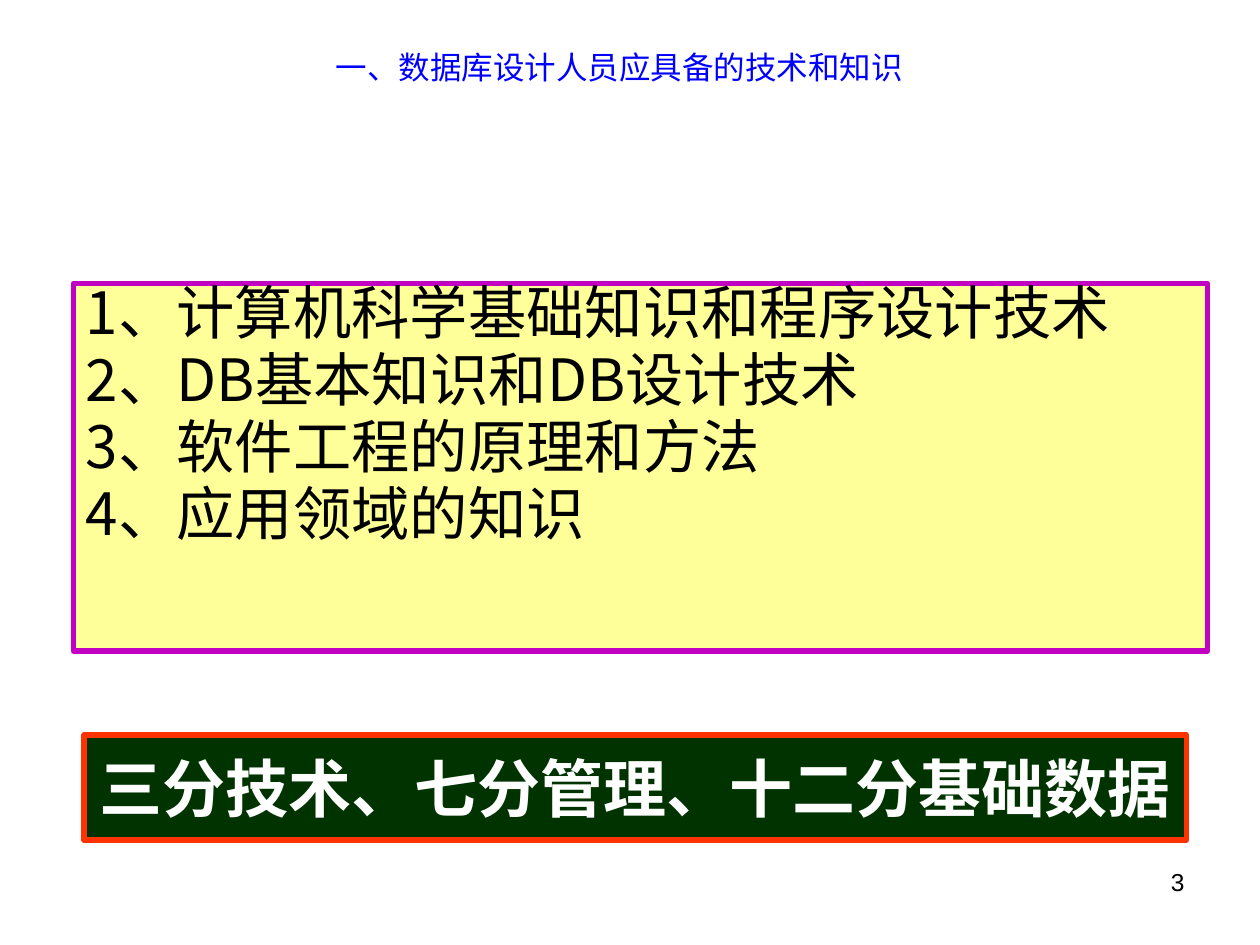
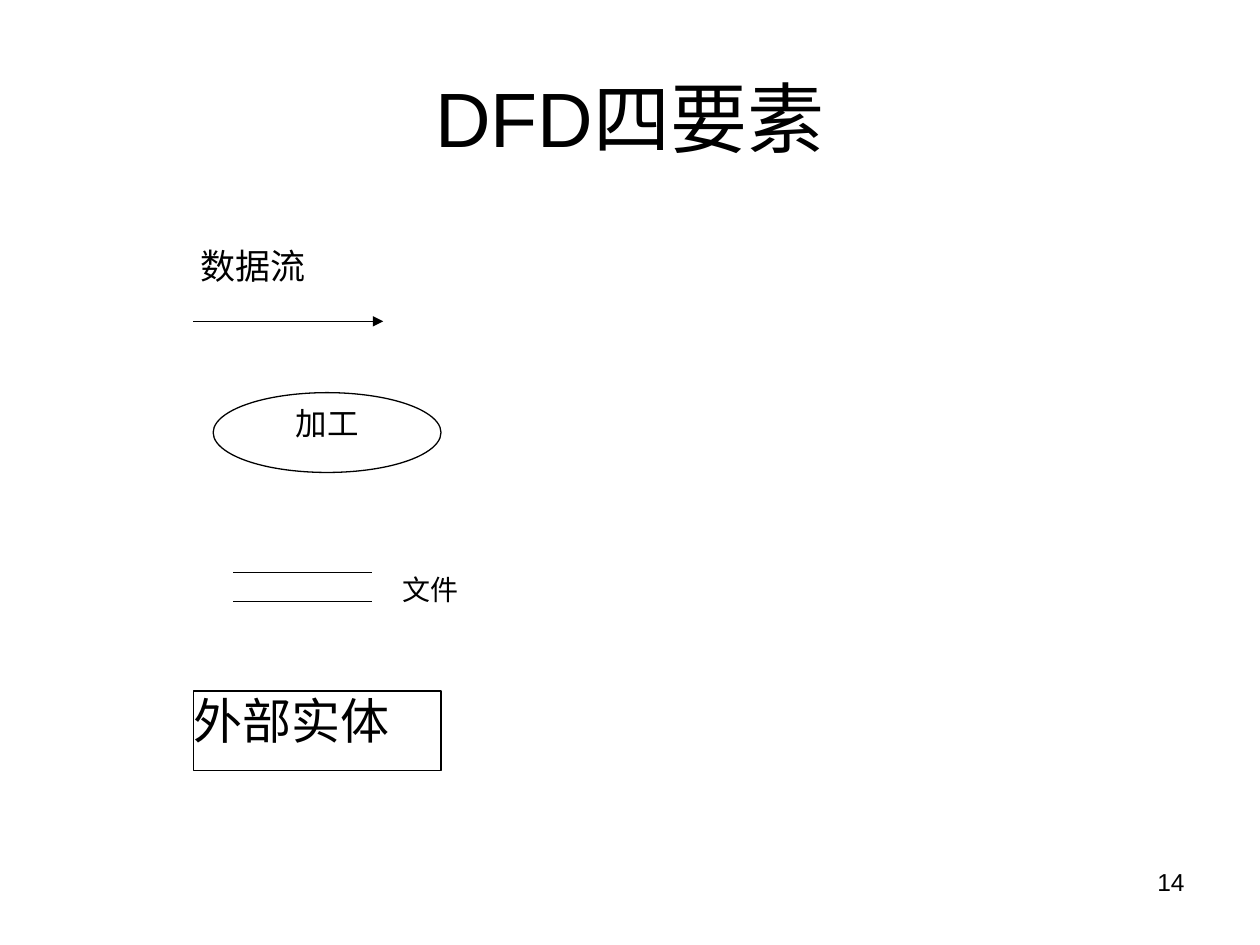
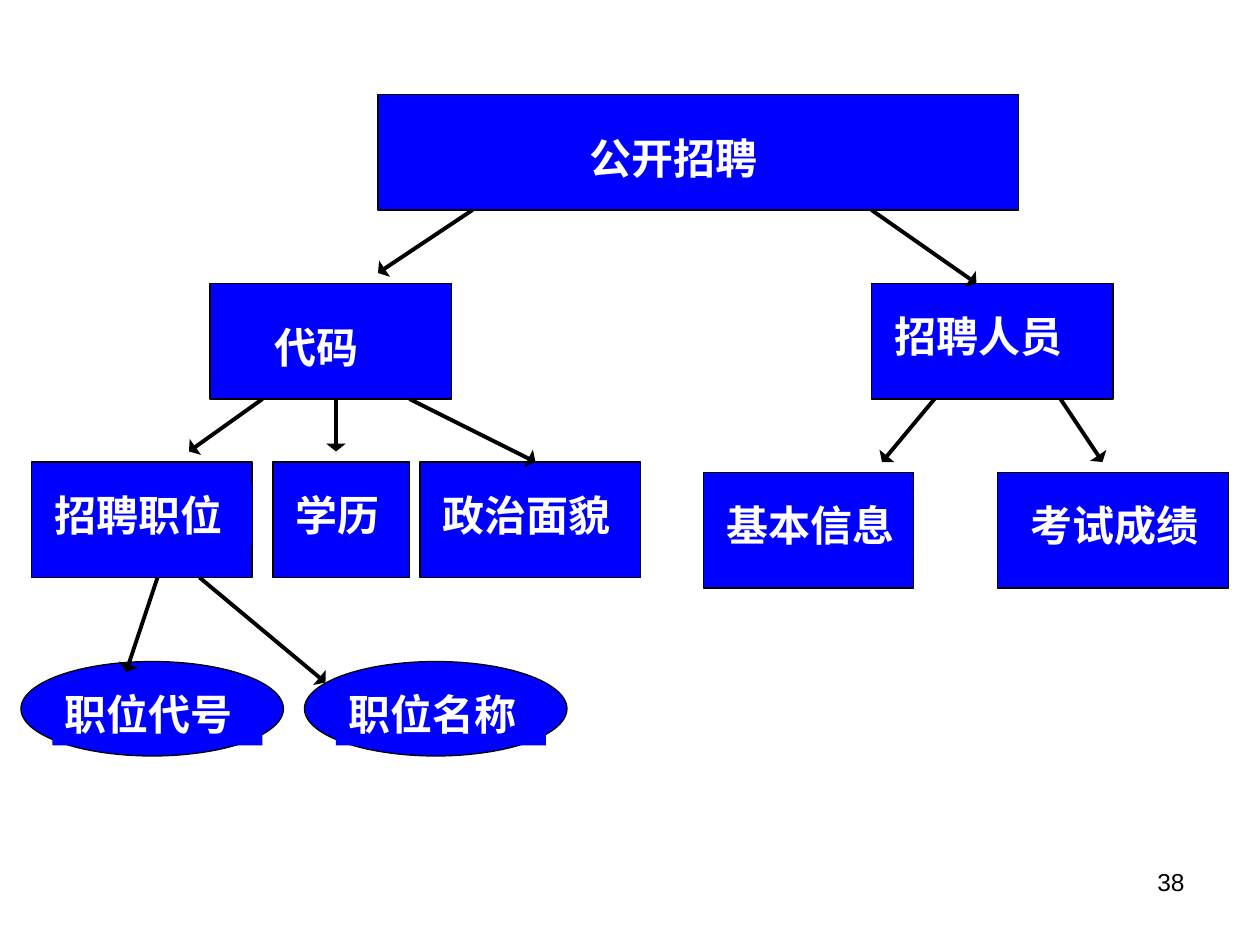
from pptx import Presentation
from pptx.dml.color import RGBColor
from pptx.enum.shapes import MSO_CONNECTOR, MSO_SHAPE
from pptx.enum.text import MSO_ANCHOR, MSO_AUTO_SIZE, PP_ALIGN
from pptx.oxml.ns import qn
from pptx.util import Emu, Pt
from lxml import etree

PX = 7620
RECT, OVAL = MSO_SHAPE.RECTANGLE, MSO_SHAPE.OVAL
STRAIGHT = MSO_CONNECTOR.STRAIGHT
TOP, MIDDLE = MSO_ANCHOR.TOP, MSO_ANCHOR.MIDDLE
LEFT, CENTER, RIGHT = PP_ALIGN.LEFT, PP_ALIGN.CENTER, PP_ALIGN.RIGHT
NO_RESIZE = MSO_AUTO_SIZE.NONE
TITLE_ONLY, BLANK = 5, 6

BLACK, WHITE, BLUE = "000000", "FFFFFF", "0000FF"
CREAM, PURPLE, GREEN, ORANGE = "FFFF99", "C200C2", "003300", "FF3300"
ARIAL, SERIF = "Arial", "Times New Roman"
HAN_SC, HAN_JP = "Noto Sans CJK SC", "Noto Sans CJK JP"
PADDED, TIGHT = (12, 6), (0, 0)


def px(*lengths):
    return [Emu(length * PX) for length in lengths]


def color(value):
    return RGBColor.from_string(value)


def write(shape, lines, size, font=SERIF, ink=BLACK, bold=False, align=LEFT,
          anchor=TOP, padding=PADDED, wrap=True, spacing=None, gap=0):
    frame = shape.text_frame
    frame.text = "\n".join(lines)
    frame.auto_size = NO_RESIZE
    frame.word_wrap = wrap
    frame.vertical_anchor = anchor
    frame.margin_left, frame.margin_top = px(*padding)
    frame.margin_right, frame.margin_bottom = px(*padding)
    for index, paragraph in enumerate(frame.paragraphs):
        paragraph.alignment = align
        paragraph.line_spacing = spacing
        paragraph.space_before = Pt(gap if index else 0)
        for run in paragraph.runs:
            run.font.size = Pt(size)
            run.font.bold = bold
            run.font.color.rgb = color(ink)
            run.font.name = font
            east_asian = etree.SubElement(run.font._element, qn("a:ea"))
            east_asian.set("typeface", HAN_JP if font == HAN_JP else HAN_SC)


def add_box(slide, kind, box, fill, line=None, weight=0.75):
    shape = slide.shapes.add_shape(kind, *px(*box))
    shape.shadow.inherit = False
    shape.fill.solid()
    shape.fill.fore_color.rgb = color(fill)
    if line:
        shape.line.color.rgb = color(line)
        shape.line.width = Pt(weight)
    else:
        shape.line.fill.background()
    return shape


def add_line(slide, start, end, weight=0.75, head=None):
    connector = slide.shapes.add_connector(STRAIGHT, *px(*start, *end))
    connector.line.color.rgb = color(BLACK)
    connector.line.width = Pt(weight)
    if head:
        width, length = head
        etree.SubElement(connector.line._get_or_add_ln(), qn("a:tailEnd"),
                         type="triangle", w=width, len=length)
    etree.SubElement(connector._element.spPr, qn("a:effectLst"))


def add_page(deck, layout, number):
    slide = deck.slides.add_slide(deck.slide_layouts[layout])
    page_number = slide.shapes.add_textbox(*px(860, 820, 280, 62))
    write(page_number, [number], 14, ARIAL, align=RIGHT)
    return slide


def set_title(slide, box, text, size, **style):
    title = slide.shapes.title
    title.left, title.top, title.width, title.height = px(*box)
    write(title, [text], size, align=CENTER, **style)


def skills_panel(slide, box):
    panel = add_box(slide, RECT, box, CREAM, PURPLE, 3)
    write(panel, ["1、计算机科学基础知识和程序设计技术", "2、DB基本知识和DB设计技术",
                  "3、软件工程的原理和方法", "4、应用领域的知识"],
          33.3, HAN_JP, spacing=0.8, gap=6.3)


def motto_banner(slide, box):
    banner = add_box(slide, RECT, box, GREEN, ORANGE, 3)
    write(banner, ["三分技术、七分管理、十二分基础数据"], 36, ink=WHITE, bold=True,
          align=CENTER, anchor=MIDDLE, wrap=False)


def data_flow(slide, left, top):
    label = add_box(slide, RECT, (left + 7, top, 136, 68), WHITE)
    write(label, ["数据流"], 20, padding=TIGHT)
    add_line(slide, (left, top + 73), (left + 181, top + 73), head=("med", "med"))


def process(slide, left, top):
    oval = add_box(slide, OVAL, (left, top, 217, 76), WHITE, BLACK)
    write(oval, ["加工"], 18, align=CENTER, padding=TIGHT)


def data_file(slide, left, top):
    label = add_box(slide, RECT, (left + 161, top, 170, 28), WHITE, WHITE)
    write(label, ["文件"], 16, padding=TIGHT)
    for y in (top, top + 28):
        add_line(slide, (left, y), (left + 132, y))


def external_entity(slide, left, top):
    entity = add_box(slide, RECT, (left, top, 236, 76), WHITE, BLACK)
    write(entity, ["外部实体"], 28, padding=TIGHT)


def tree_node(slide, kind, box, name, label_box):
    left, top = box[:2]
    dx, dy, width = label_box
    add_box(slide, kind, box, BLUE, BLACK)
    label = add_box(slide, RECT, (left + dx, top + dy, width, 60), BLUE)
    write(label, [name], 24, ink=WHITE, bold=True)


def recruitment_tree(slide, left, top):
    nodes = [
        ("公开招聘", RECT, (340, 0, 610, 110), (190, 30, 190)),
        ("代码", RECT, (180, 180, 230, 110), (50, 30, 140)),
        ("招聘人员", RECT, (810, 180, 230, 110), (10, 20, 190)),
        ("招聘职位", RECT, (10, 350, 210, 110), (10, 20, 200)),
        ("学历", RECT, (240, 350, 130, 110), (10, 20, 110)),
        ("政治面貌", RECT, (380, 350, 210, 110), (10, 20, 190)),
        ("基本信息", RECT, (650, 360, 200, 110), (10, 20, 190)),
        ("考试成绩", RECT, (930, 360, 220, 110), (20, 20, 190)),
        ("职位代号", OVAL, (0, 540, 250, 90), (30, 20, 200)),
        ("职位名称", OVAL, (270, 540, 250, 90), (30, 20, 200)),
    ]
    branches = [
        (430, 110, 340, 170), (810, 110, 910, 180),
        (230, 290, 160, 340), (300, 290, 300, 340), (370, 290, 490, 350),
        (870, 290, 820, 350), (990, 290, 1030, 350),
        (130, 460, 100, 550), (170, 460, 290, 560),
    ]
    for name, kind, (x, y, width, height), label_box in nodes:
        tree_node(slide, kind, (left + x, top + y, width, height), name, label_box)
    for x1, y1, x2, y2 in branches:
        add_line(slide, (left + x1, top + y1), (left + x2, top + y2), 2.25,
                 ("lg", "sm"))


def main():
    deck = Presentation()
    deck.slide_width, deck.slide_height = px(1200, 900)

    skills = add_page(deck, TITLE_ONLY, "3")
    set_title(skills, (50, 40, 1080, 162), "一、数据库设计人员应具备的技术和知识", 18,
              font=HAN_SC, ink=BLUE)
    skills_panel(skills, (70, 270, 1080, 350))
    motto_banner(skills, (80, 700, 1050, 100))

    elements = add_page(deck, TITLE_ONLY, "14")
    set_title(elements, (60, 36, 1080, 150), "DFD四要素", 44, font=ARIAL,
              anchor=MIDDLE)
    data_flow(elements, 184, 233)
    process(elements, 203, 374)
    data_file(elements, 222, 545)
    external_entity(elements, 184, 658)

    recruitment = add_page(deck, BLANK, "38")
    recruitment_tree(recruitment, 20, 90)

    deck.save("out.pptx")


if __name__ == "__main__":
    main()
